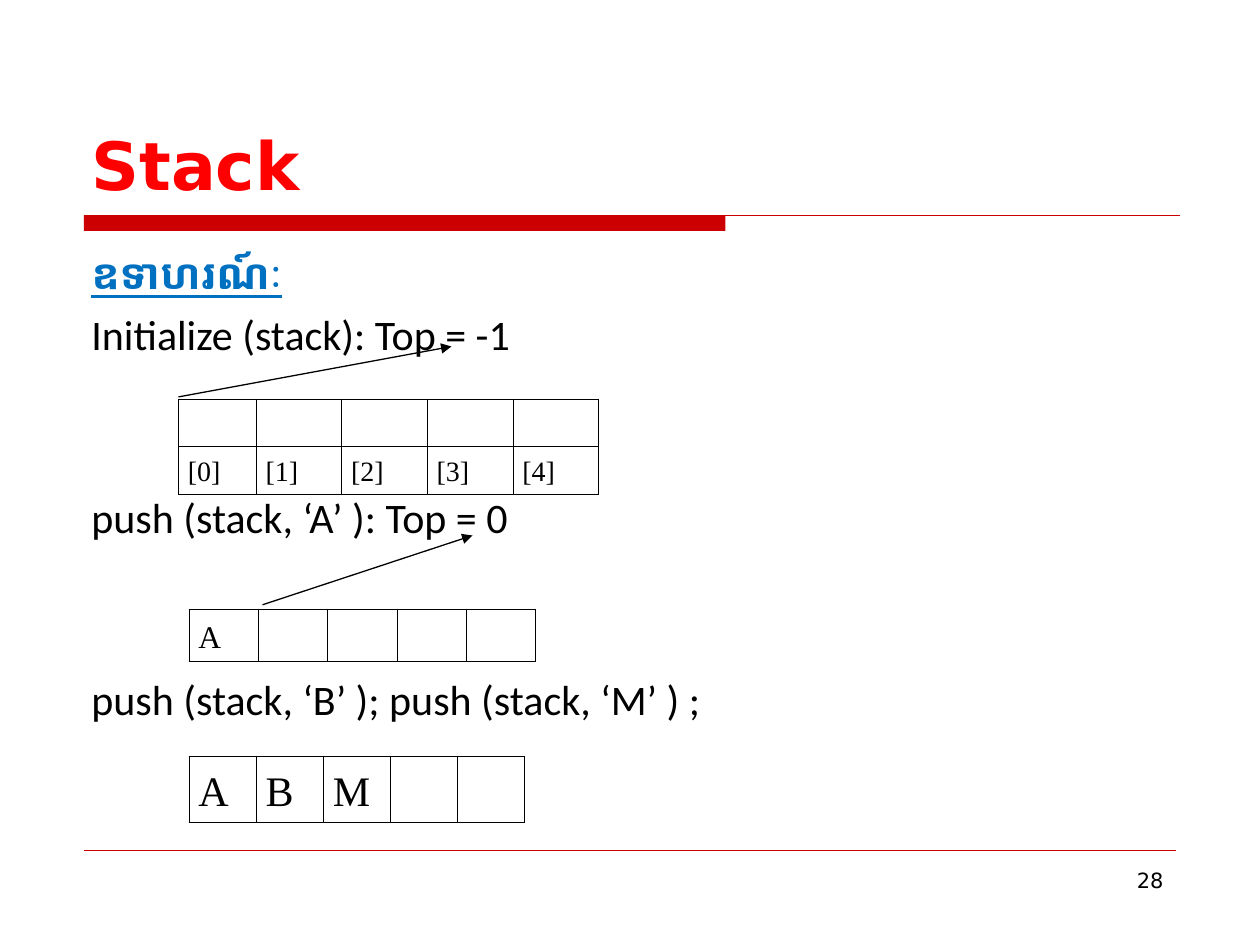
import pptx
import pptx.util
import pptx.dml.color
import pptx.enum.shapes
import pptx.enum.text
import pptx.oxml
import pptx.oxml.ns
import lxml.etree

Pt = pptx.util.Pt
RGB = pptx.dml.color.RGBColor.from_string
CONNECTOR = pptx.enum.shapes.MSO_CONNECTOR.STRAIGHT
ALIGN = pptx.enum.text.PP_ALIGN
qn = pptx.oxml.ns.qn

THEME = {
    "title": {"name": "DejaVu Sans", "size": Pt(38), "bold": True, "color": "FF0000"},
    "heading": {"name": "Calibri", "size": Pt(24), "bold": True, "underline": True,
                "color": "0070C0"},
    "body": {"name": "Calibri", "size": Pt(24), "color": "000000"},
    "number": {"name": "DejaVu Sans", "size": Pt(12), "color": "000000"},
    "cell": {"name": "Times New Roman", "color": "000000"},
    "rule": "CC0000",
    "ink": "000000",
}

deck = pptx.Presentation()
deck.slide_width, deck.slide_height = pptx.util.Inches(10), pptx.util.Inches(7.5)
slide = deck.slides.add_slide(deck.slide_layouts[1])
shapes = slide.shapes

# Grid of 120 columns by 90 rows
UNIT = deck.slide_width // 120


def grid(*steps):
    return [round(step * UNIT) for step in steps]


def style(font, look):
    for key, value in look.items():
        if key == "color":
            font.color.rgb = RGB(value)
        else:
            setattr(font, key, value)


# Red rules under the title and above the footer, then arrows to each Top value
title_bar = shapes.add_shape(pptx.enum.shapes.MSO_SHAPE.RECTANGLE, *grid(8, 20.5, 61.1, 1.5))
title_bar.shadow.inherit = False
title_bar.fill.solid()
title_bar.fill.fore_color.rgb = RGB(THEME["rule"])
title_bar.line.fill.background()

for ends, color, width, arrow in [
    ((8, 20.5, 112.4, 20.5), THEME["rule"], 0.75, False),
    ((8, 81, 112, 81), THEME["rule"], 0.25, False),
    ((17, 37.8, 43, 33), THEME["ink"], 0.75, True),
    ((25, 57.6, 45, 51), THEME["ink"], 0.75, True),
]:
    stroke = shapes.add_connector(CONNECTOR, *grid(*ends))
    stroke.line.color.rgb = RGB(color)
    stroke.line.width = Pt(width)
    if arrow:
        lxml.etree.SubElement(stroke.line._get_or_add_ln(), qn("a:tailEnd"), type="triangle")
    lxml.etree.SubElement(stroke._element.spPr, qn("a:effectLst"))

# Title, list and slide number
title, steps = shapes.title, slide.placeholders[1]
page_number = shapes.add_textbox(*grid(86, 82, 26, 6.2))
for part, box, anchor in [
    (title, (7.5, 4, 105, 16), pptx.enum.text.MSO_ANCHOR.BOTTOM),
    (steps, (7.5, 23, 105, 56), pptx.enum.text.MSO_ANCHOR.TOP),
    (page_number, (86, 82, 26, 6.2), pptx.enum.text.MSO_ANCHOR.TOP),
]:
    part.left, part.top, part.width, part.height = grid(*box)
    for key, value in {"word_wrap": True, "vertical_anchor": anchor,
                       "auto_size": pptx.enum.text.MSO_AUTO_SIZE.NONE}.items():
        setattr(part.text_frame, key, value)

# Wide gaps leave room for the tables between the steps
for part, text, look, gap, align in [
    (title, "Stack", "title", 0, ALIGN.LEFT),
    (steps, "ឧទាហរណ៍ៈ", "heading", 0, ALIGN.LEFT),
    (steps, "Initialize (stack): Top = -1", "body", 6, ALIGN.LEFT),
    (steps, "push (stack, ‘A’ ): Top = 0", "body", 75.5, ALIGN.LEFT),
    (steps, "push (stack, ‘B’ ); push (stack, ‘M’ ) ;", "body", 75.5, ALIGN.LEFT),
    (page_number, "28", "number", 0, ALIGN.RIGHT),
]:
    frame = part.text_frame
    line = frame.add_paragraph() if frame.text else frame.paragraphs[0]
    line.alignment = align
    line.space_before = Pt(gap)
    if part is steps:
        props = line._p.get_or_add_pPr()
        props.set("marL", "0")
        props.set("indent", "0")
        lxml.etree.SubElement(props, qn("a:buNone"))
    run = line.add_run()
    run.text = text
    style(run.font, THEME[look])

# Stack contents after each step
for corner, widths, height, size, rows in [
    ((17, 38), [7.4] + [8.15] * 4, 3.7, 16,
     [[""] * 5, [f"[{index}]" for index in range(5)]]),
    ((18, 58), [6.6] * 5, 4.8, 18, [["A", "", "", "", ""]]),
    ((18, 72), [6.4] * 5, 5.5, 24, [["A", "B", "M", "", ""]]),
]:
    table = shapes.add_table(len(rows), len(widths), *grid(
        *corner, sum(widths), height * len(rows))).table
    table.first_row = table.horz_banding = False
    for column, width in zip(table.columns, grid(*widths)):
        column.width = width
    for r, values in enumerate(rows):
        table.rows[r].height = grid(height)[0]
        for c, value in enumerate(values):
            cell = table.cell(r, c)
            cell.margin_left = cell.margin_right = grid(0.9)[0]
            cell.fill.background()
            entry = cell.text_frame.paragraphs[0]
            entry.line_spacing = 1.15
            if value:
                run = entry.add_run()
                run.text = value
                style(run.font, {**THEME["cell"], "size": Pt(size)})
            else:
                lxml.etree.SubElement(entry._p, qn("a:endParaRPr"), sz=str(size * 100))
            for place, side in enumerate(["lnL", "lnR", "lnT", "lnB"]):
                border = pptx.oxml.parse_xml(
                    f'<a:{side} {pptx.oxml.ns.nsdecls("a")} w="{Pt(0.45)}"><a:solidFill>'
                    f'<a:srgbClr val="{THEME["ink"]}"/></a:solidFill></a:{side}>')
                cell._tc.get_or_add_tcPr().insert(place, border)

deck.save("out.pptx")
